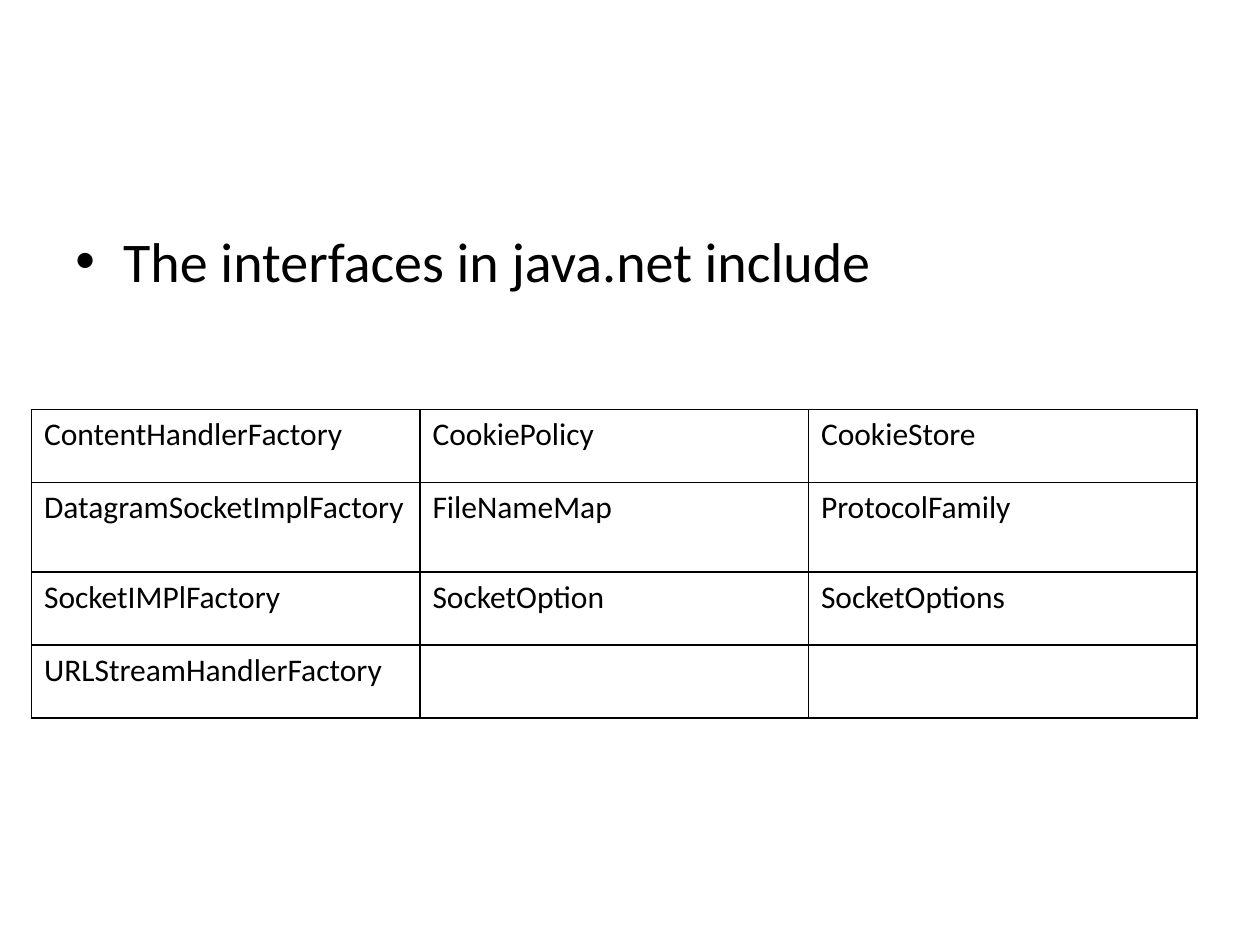
from lxml import etree
from pptx import Presentation
from pptx.dml.color import RGBColor
from pptx.enum import text
from pptx.oxml.ns import qn
from pptx.util import Inches, Pt

COLORS = {"ink": "000000", "paper": "FFFFFF"}
INTERFACES = [
    ["ContentHandlerFactory", "CookiePolicy", "CookieStore"],
    ["DatagramSocketImplFactory", "FileNameMap", "ProtocolFamily"],
    ["SocketIMPlFactory", "SocketOption", "SocketOptions"],
    ["URLStreamHandlerFactory", "", ""],
]
ROW_HEIGHTS = [0.58, 0.71, 0.58, 0.58]


def write(para, words, size):
    span = para.add_run()
    span.text = words
    for name, value in {"name": "Calibri", "size": Pt(size)}.items():
        setattr(span.font, name, value)
    span.font.color.rgb = RGBColor.from_string(COLORS["ink"])


def add_node(parent, tag, **values):
    return etree.SubElement(parent, qn(tag), values)


# Page
deck = Presentation()
deck.slide_width, deck.slide_height = Inches(10), Inches(7.5)
page = deck.slides.add_slide(deck.slide_layouts[6])
page.background.fill.solid()
page.background.fill.fore_color.rgb = RGBColor.from_string(COLORS["paper"])

# Bulleted introduction
box = page.shapes.add_textbox(Inches(0.5), Inches(1.75), Inches(9), Inches(1.42))
frame_format = {"word_wrap": True, "auto_size": text.MSO_AUTO_SIZE.NONE,
                "vertical_anchor": text.MSO_ANCHOR.TOP}
for name, value in frame_format.items():
    setattr(box.text_frame, name, value)
para = box.text_frame.paragraphs[0]
write(para, "The interfaces in java.net include", 32)
bullet = para._p.get_or_add_pPr()
bullet.set("marL", str(Inches(0.38)))
bullet.set("indent", str(-Inches(0.38)))
add_node(add_node(bullet, "a:spcBef"), "a:spcPct", val="20000")
add_node(bullet, "a:buFont", typeface="Arial")
add_node(bullet, "a:buChar", char="•")

# Table of interfaces, with three equal columns
table = page.shapes.add_table(
    len(INTERFACES), len(INTERFACES[0]),
    Inches(0.25), Inches(3.25), Inches(9.25), Inches(sum(ROW_HEIGHTS))).table
table.first_row = table.horz_banding = False
for row, height in zip(table.rows, ROW_HEIGHTS):
    row.height = Inches(height)

# Cell text and borders
for row, names in zip(table.rows, INTERFACES):
    for cell, name in zip(row.cells, names):
        if name:
            write(cell.text_frame.paragraphs[0], name, 18)
        properties = cell._tc.get_or_add_tcPr()
        for side in "LRTB":
            line = add_node(properties, f"a:ln{side}", w=str(Pt(1)))
            add_node(add_node(line, "a:solidFill"), "a:srgbClr", val=COLORS["ink"])
        cell.fill.background()

deck.save("out.pptx")
